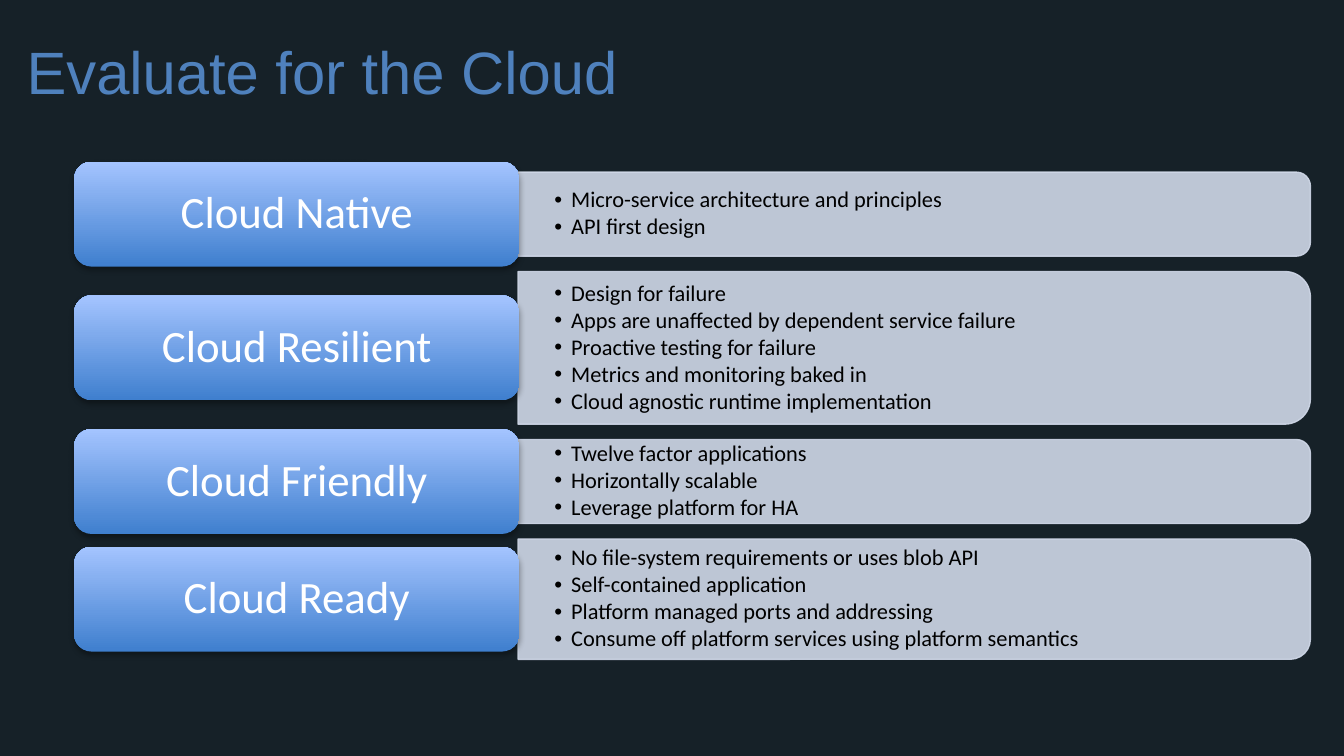
from lxml import etree
from pptx import Presentation
from pptx.dml.color import RGBColor
from pptx.enum.shapes import MSO_SHAPE
from pptx.enum.text import MSO_ANCHOR, MSO_AUTO_SIZE, PP_ALIGN
from pptx.oxml.ns import qn
from pptx.util import Pt

PX = 9525
BACKGROUND = RGBColor(0x16, 0x21, 0x28)
TITLE_BLUE = RGBColor(0x4F, 0x81, 0xBD)
PANEL = RGBColor(0xD0, 0xD8, 0xE8)
BLUE = RGBColor(0x3F, 0x7F, 0xCE)
LIGHT_BLUE = RGBColor(0xA4, 0xC4, 0xFF)
BLACK = RGBColor(0, 0, 0)
WHITE = RGBColor(0xFF, 0xFF, 0xFF)

ROUNDED = MSO_SHAPE.ROUNDED_RECTANGLE
ROUND_TOP = MSO_SHAPE.ROUND_2_SAME_RECTANGLE
TOP, MIDDLE = MSO_ANCHOR.TOP, MSO_ANCHOR.MIDDLE
LEFT, CENTER = PP_ALIGN.LEFT, PP_ALIGN.CENTER
NO_AUTOFIT = MSO_AUTO_SIZE.NONE

TITLE_FONT = {"name": "Arial", "size": Pt(32), "color": TITLE_BLUE}
LABEL_FONT = {"name": "Calibri", "size": Pt(24), "color": WHITE}
LIST_FONT = {"name": "Calibri", "size": Pt(12), "color": BLACK}
TITLE_FRAME = {"auto_size": NO_AUTOFIT, "vertical_anchor": TOP, "word_wrap": True,
               "margin_left": 7 * PX, "margin_top": 10 * PX, "margin_bottom": 0}
LABEL_FRAME = {"vertical_anchor": MIDDLE, "word_wrap": True}
LIST_FRAME = {"auto_size": NO_AUTOFIT, "vertical_anchor": MIDDLE, "word_wrap": True,
              "margin_left": 26 * PX, "margin_right": 26 * PX,
              "margin_top": 13 * PX, "margin_bottom": 13 * PX}
LIST_PARAGRAPH = {"level": 1, "line_spacing": 0.9, "space_after": Pt(1.5)}

LABEL_WIDTH, LABEL_HEIGHT = 318, 75
ROW_GAP = 11
ROWS = [
    ("Cloud Native", 60, [
        "Micro-service architecture and principles",
        "API first design"]),
    ("Cloud Resilient", 109, [
        "Design for failure",
        "Apps are unaffected by dependent service failure",
        "Proactive testing for failure",
        "Metrics and monitoring baked in",
        "Cloud agnostic runtime implementation"]),
    ("Cloud Friendly", 60, [
        "Twelve factor applications",
        "Horizontally scalable",
        "Leverage platform for HA"]),
    ("Cloud Ready", 86, [
        "No file-system requirements or uses blob API",
        "Self-contained application",
        "Platform managed ports and addressing",
        "Consume off platform services using platform semantics"]),
]


def emu(*lengths):
    return [round(n * PX) for n in lengths]


def apply(target, values):
    for name, value in values.items():
        if name == "color":
            target.color.rgb = value
        else:
            setattr(target, name, value)


def add_alpha(color, percent):
    etree.SubElement(color, qn("a:alpha"), val=str(percent * 1000))


def add_shadow(sp):
    sp.shadow.inherit = False
    effects = sp._element.spPr.find(qn("a:effectLst"))
    shadow = etree.SubElement(effects, qn("a:outerShdw"), blurRad="40000",
                              dist="23000", dir="5400000", rotWithShape="0")
    add_alpha(etree.SubElement(shadow, qn("a:srgbClr"), val="000000"), 35)


def add_bullet(p):
    pPr = p._p.get_or_add_pPr()
    pPr.set("marL", str(12 * PX))
    pPr.set("indent", str(-12 * PX))
    etree.SubElement(pPr, qn("a:buFont"), typeface="Arial")
    etree.SubElement(pPr, qn("a:buChar"), char="•")


def add_title(s, x, y, w, h):
    sp = s.shapes.title
    sp.left, sp.top, sp.width, sp.height = emu(x, y, w, h)
    tf = sp.text_frame
    apply(tf, TITLE_FRAME)
    p = tf.paragraphs[0]
    p.alignment = LEFT
    r = p.add_run()
    r.text = "Evaluate for the Cloud"
    apply(r.font, TITLE_FONT)


def add_label(s, x, y, w, h, text):
    sp = s.shapes.add_shape(ROUNDED, *emu(x, y, w, h))
    sp.line.fill.background()
    sp.fill.gradient()
    sp.fill.gradient_angle = 90
    for stop, color in zip(sp.fill.gradient_stops, (BLUE, LIGHT_BLUE)):
        stop.color.rgb = color
    add_shadow(sp)
    tf = sp.text_frame
    apply(tf, LABEL_FRAME)
    p = tf.paragraphs[0]
    p.alignment = CENTER
    p.line_spacing = 0.9
    r = p.add_run()
    r.text = text
    apply(r.font, LABEL_FONT)


def add_panel(s, x, y, w, h, items):
    turn = (w - h) / 2
    sp = s.shapes.add_shape(ROUND_TOP, *emu(x + turn, y - turn, h, w))
    sp.rotation = 90
    sp.shadow.inherit = False
    sp.fill.solid()
    sp.fill.fore_color.rgb = PANEL
    sp.line.color.rgb = PANEL
    sp.line.width = Pt(0.75)
    for color in sp._element.spPr.iter(qn("a:srgbClr")):
        add_alpha(color, 90)

    box = s.shapes.add_textbox(*emu(x, y + 3, w - 3, h - 6))
    tf = box.text_frame
    apply(tf, LIST_FRAME)
    for i, item in enumerate(items):
        p = tf.add_paragraph() if i else tf.paragraphs[0]
        apply(p, LIST_PARAGRAPH)
        add_bullet(p)
        r = p.add_run()
        r.text = item
        apply(r.font, LIST_FONT)


def add_rows(s, x, y, w):
    for label, h, items in ROWS:
        add_panel(s, x + LABEL_WIDTH - 1, y, w - LABEL_WIDTH + 1, h, items)
        add_label(s, x, y + (h - LABEL_HEIGHT) / 2, LABEL_WIDTH, LABEL_HEIGHT, label)
        y += h + ROW_GAP


def main():
    prs = Presentation()
    prs.slide_width, prs.slide_height = emu(960, 540)
    s = prs.slides.add_slide(prs.slide_layouts[5])
    s.background.fill.solid()
    s.background.fill.fore_color.rgb = BACKGROUND
    add_title(s, 12, 15, 924, 50)
    add_rows(s, 53, 123, 883)
    prs.save("out.pptx")


if __name__ == "__main__":
    main()
